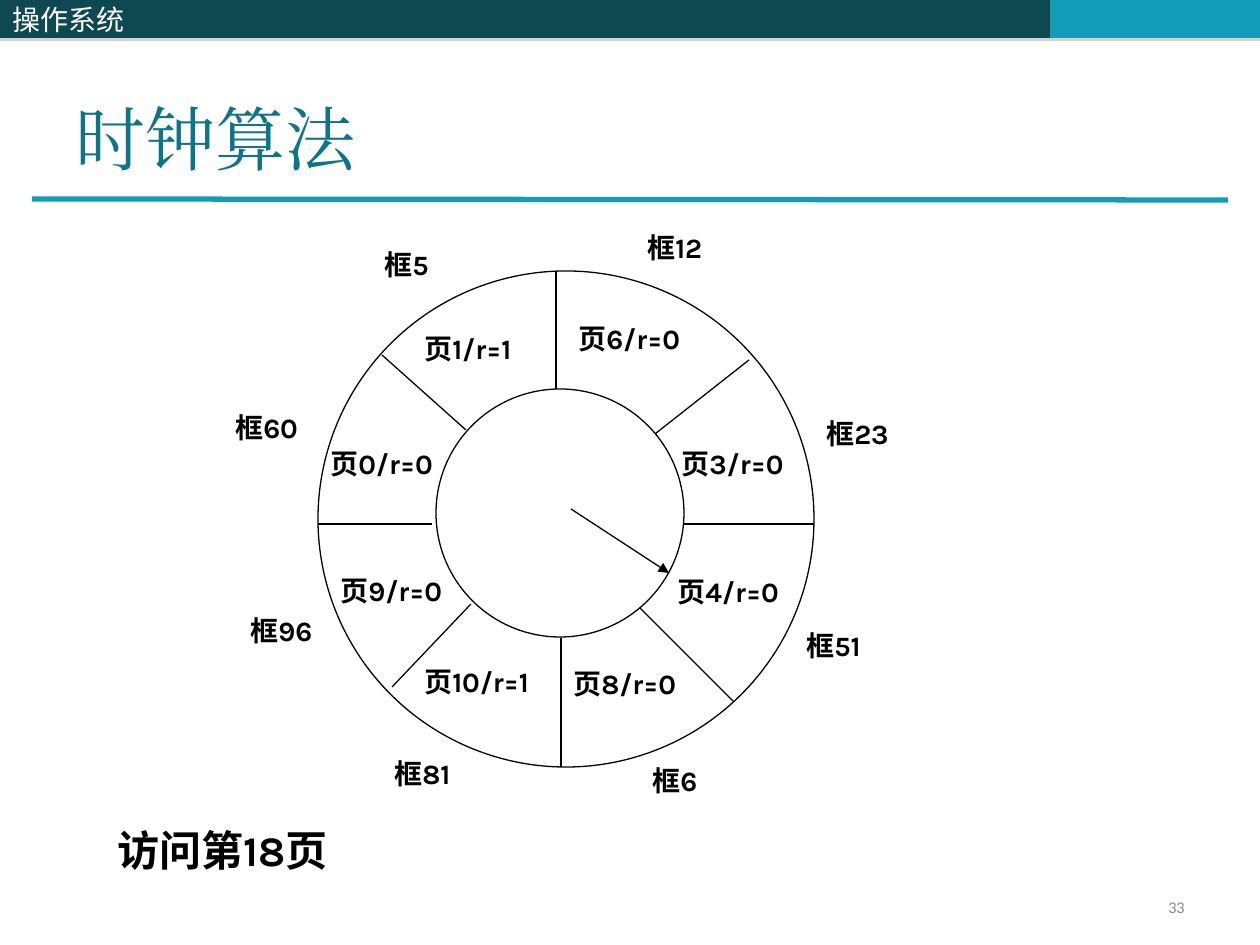
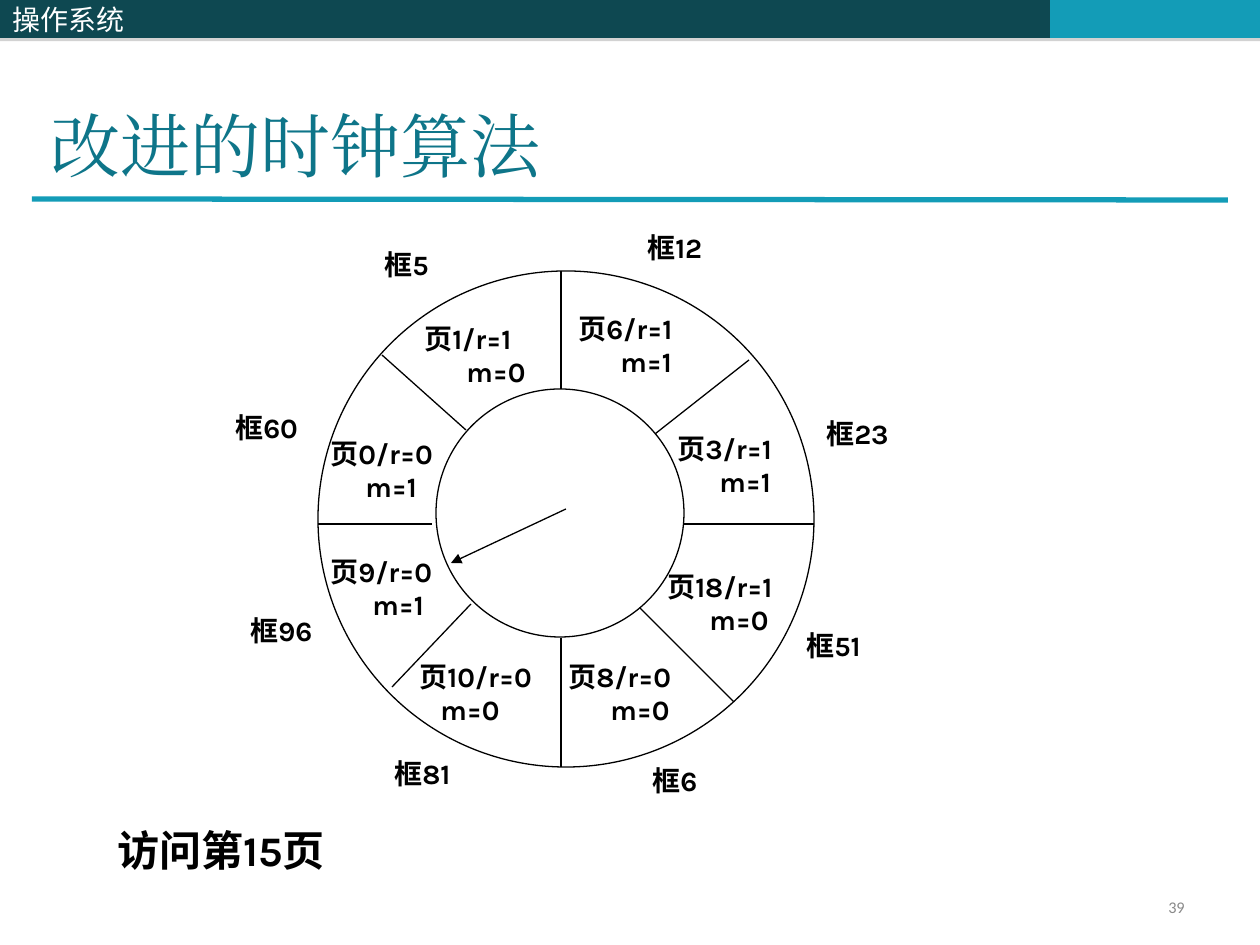
from pptx import Presentation, util as u
from pptx.dml.color import RGBColor
from pptx.enum import shapes, text
from pptx.oxml import parse_xml
from pptx.oxml.ns import nsdecls, qn

# Content: lengths in px, 126 to the inch
EMU = 914400 / 126
C = {"dark": "0E4851", "teal": "139CB7", "title": "0E7589", "page": "898989",
     "ink": "000000", "white": "FFFFFF", "shadow": "808080"}
HEADER = "操作系统"
BANDS = [("dark", 514, 536, ""), ("teal", 1050, 210, ""), ("dark", 0, 514, HEADER)]
RULE = (32, 199, 1228, 200)
RINGS = [(318, 271, 496), (436, 389, 248)]  # left, top, diameter
SPOKES = [(561, 638, 561, 767), (318, 524, 432, 524), (684, 524, 814, 524),
          (655, 434, 749, 360), (640, 608, 734, 702), (471, 604, 392, 687),
          (382, 355, 466, 430)]
FRAMES = [("框12", 635, 224, 90, 81), ("框23", 814, 410, 110, 47),
          ("框51", 794, 622, 110, 47), ("框6", 640, 757, 84, 47),
          ("框81", 382, 750, 90, 81), ("框96", 238, 607, 96, 47),
          ("框60", 223, 404, 90, 81), ("框5", 372, 241, 79, 47)]
INDENT = 42  # second line of a page label

# Page labels: left, top, width, first line, then second line and its indent
SLIDES = [
    {"title": "时钟算法", "title_at": (63, 28), "number": "33", "request": "访问第18页",
     "top_spoke": 556, "hand": (571, 509, 669, 573),
     "pages": [(566, 315, 149, "页6/r=0"), (669, 440, 144, "页3/r=0"),
               (665, 568, 144, "页4/r=0"), (561, 660, 144, "页8/r=0"),
               (412, 658, 164, "页10/r=1"), (328, 567, 149, "页9/r=0"),
               (318, 440, 144, "页0/r=0"), (412, 325, 149, "页1/r=1")]},
    {"title": "改进的时钟算法", "title_at": (38, 35), "number": "39", "request": "访问第15页",
     "top_spoke": 561, "hand": (566, 509, 451, 563),
     "pages": [(566, 305, 149, "页6/r=1", "m=1", INDENT),
               (665, 425, 144, "页3/r=1", "m=1", INDENT),
               (655, 563, 159, "页18/r=1", "m=0", INDENT),
               (556, 653, 144, "页8/r=0", "m=0", INDENT),
               (407, 653, 169, "页10/r=0", "m=0", 21),
               (318, 548, 149, "页9/r=0", "m=1", INDENT),
               (318, 430, 144, "页0/r=0", "m=1", 35),
               (412, 315, 149, "页1/r=1", "m=0", INDENT)]},
]


def px(*values):
    return [u.Emu(round(v * EMU)) for v in values]


def rgb(name):
    return RGBColor.from_string(C[name])


def style(p, size, font, color, bold=False):
    f = p.font
    f.size, f.name, f.bold = u.Pt(size), font, bold
    f.color.rgb = rgb(color)
    p._p.pPr.find(qn("a:defRPr")).append(
        parse_xml(f'<a:ea {nsdecls("a")} typeface="{font}"/>'))


def label(s, box, lines, size=16, font="Karla", color="ink", bold=True, indent=0):
    tf = s.shapes.add_textbox(*px(*box)).text_frame
    tf.word_wrap = True
    tf.text = "\n".join(lines)
    for i, p in enumerate(tf.paragraphs):
        if i:
            p._p.get_or_add_pPr().set("marL", str(px(indent)[0]))
        style(p, size, font, color, bold)
    return tf


def line(s, ends, color="ink", width=0.75, arrow=False):
    cx = s.shapes.add_connector(shapes.MSO_CONNECTOR.STRAIGHT, *px(*ends))
    cx.line.color.rgb, cx.line.width = rgb(color), u.Pt(width)
    if arrow:
        cx.line._get_or_add_ln().append(
            parse_xml(f'<a:tailEnd {nsdecls("a")} type="triangle"/>'))
    cx._element.spPr.append(parse_xml(f'<a:effectLst {nsdecls("a")}/>'))
    return cx


def band(s, color, left, width, words):
    sp = s.shapes.add_shape(shapes.MSO_SHAPE.RECTANGLE, *px(left, 0, width, 38))
    sp.fill.solid()
    sp.fill.fore_color.rgb = rgb(color)
    sp.line.fill.background()
    sp._element.spPr.append(parse_xml(
        f'<a:effectLst {nsdecls("a")}><a:outerShdw blurRad="0" dist="{u.Pt(1.8)}" '
        f'dir="5400000" rotWithShape="0"><a:srgbClr val="{C["shadow"]}">'
        '<a:alpha val="35000"/></a:srgbClr></a:outerShdw></a:effectLst>'))
    if words:
        tf = sp.text_frame
        tf.text = words
        tf.vertical_anchor = text.MSO_ANCHOR.MIDDLE
        tf.paragraphs[0].alignment = text.PP_ALIGN.LEFT
        style(tf.paragraphs[0], 16, "Noto Sans CJK SC", "white")
    return sp


def share_header(s, layout):
    """Move the header bands and the title rule to the layout."""
    parts = [band(s, *b) for b in BANDS] + [line(s, RULE, "teal", 3)]
    for part in parts:
        layout.shapes._spTree.append(part._element)


def clock(s, data):
    for left, top, size in RINGS:
        sp = s.shapes.add_shape(shapes.MSO_SHAPE.OVAL, *px(left, top, size, size))
        sp.shadow.inherit = False
        sp.fill.solid()
        sp.fill.fore_color.rgb = rgb("white")
        sp.line.color.rgb, sp.line.width = rgb("ink"), u.Pt(0.75)
    x = data["top_spoke"]
    for ends in SPOKES + [(x, 271, x, 389)]:
        line(s, ends)
    for left, top, width, first, *second in data["pages"]:
        if second:
            label(s, (left, top, width, 81), [first, second[0]], indent=second[1])
        else:
            label(s, (left, top, width, 47), [first])
    line(s, data["hand"], arrow=True)
    for words, *box in FRAMES:
        label(s, box, [words])


def build(s, data):
    # Title
    sp = s.shapes.title
    sp.left, sp.top, sp.width, sp.height = px(*data["title_at"], 1074, 158)
    tf = sp.text_frame
    tf.text = data["title"]
    tf.auto_size = text.MSO_AUTO_SIZE.NONE
    tf.vertical_anchor = text.MSO_ANCHOR.BOTTOM
    tf.paragraphs[0].alignment = text.PP_ALIGN.LEFT
    style(tf.paragraphs[0], 40, "Times New Roman", "title")
    # Diagram and request
    clock(s, data)
    label(s, (105, 818, 253, 113), [data["request"]], size=24)
    # Slide number
    tf = label(s, (903, 892, 294, 34), [data["number"]], 9.3, "Calibri", "page", False)
    tf.vertical_anchor = text.MSO_ANCHOR.MIDDLE
    tf.paragraphs[0].alignment = text.PP_ALIGN.RIGHT
    tf.paragraphs[0].line_spacing = 0.8


def main():
    prs = Presentation()
    prs.slide_width, prs.slide_height = px(1260, 945)
    layout = prs.slide_layouts[5]
    for i, data in enumerate(SLIDES):
        s = prs.slides.add_slide(layout)
        if i == 0:
            share_header(s, layout)
        build(s, data)
    prs.save("out.pptx")


if __name__ == "__main__":
    main()
